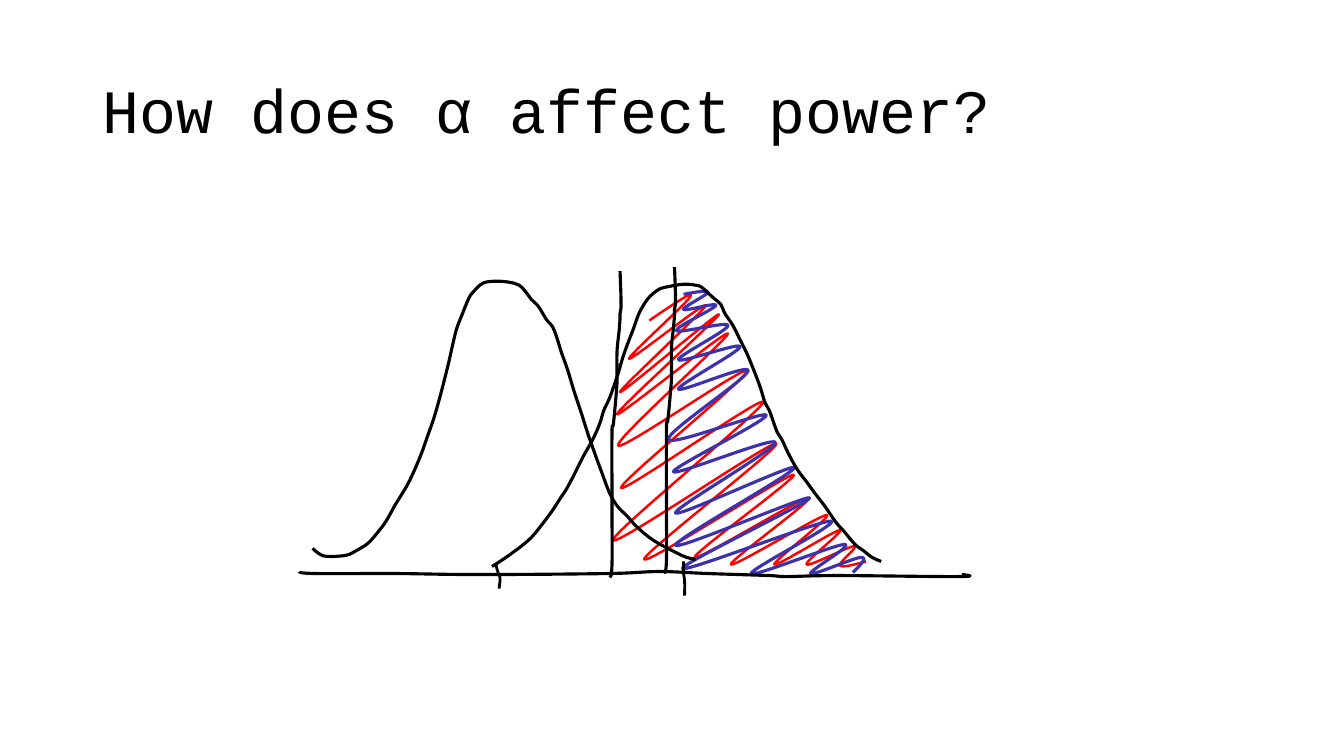
from lxml import etree
from pptx import Presentation
from pptx import util as u
from pptx.dml.color import RGBColor
from pptx.enum import text
from pptx.oxml import ns

COLORS = {"ink": "000000", "red": "FF0000", "blue": "3B32AC"}

LOW_ALPHA = [
    (444, 118), (485, 94), (424, 156), (500, 103), (415, 189), (513, 112),
    (412, 211), (522, 131), (413, 242), (541, 168), (416, 284), (557, 199),
    (408, 336), (570, 240), (439, 355), (587, 271), (489, 353), (602, 294),
    (525, 360), (620, 311), (568, 360), (633, 326), (600, 360), (647, 342),
    (633, 361), (659, 357)]
HIGH_ALPHA = [
    (478, 92), (502, 90), (478, 107), (510, 103), (471, 128), (522, 123),
    (473, 157), (534, 144), (473, 186), (542, 168), (463, 236), (560, 212),
    (468, 268), (569, 239), (470, 309), (588, 264), (470, 341), (603, 294),
    (477, 364), (624, 317), (545, 369), (638, 340), (604, 369), (654, 353),
    (646, 368)]
NULL_HILL = [
    (110, 344), (116, 349), (124, 352), (143, 351), (154, 346), (165, 339),
    (174, 329), (183, 317), (192, 301), (203, 283), (210, 269), (218, 250),
    (224, 233), (230, 216), (235, 199), (240, 180), (245, 160), (249, 142),
    (253, 126), (258, 113), (265, 96), (270, 89), (279, 81), (291, 79),
    (305, 80), (315, 83), (321, 89), (327, 97), (334, 104), (342, 117),
    (348, 124), (352, 134), (357, 150), (363, 167), (370, 190), (377, 211),
    (383, 230), (390, 250), (397, 269), (405, 290), (413, 303), (422, 312),
    (432, 323), (448, 336), (470, 348), (481, 353), (490, 355)]
TRUE_HILL = [
    (288, 362), (299, 355), (313, 345), (323, 337), (330, 330), (341, 316),
    (349, 305), (356, 294), (362, 285), (370, 270), (379, 252), (388, 236),
    (395, 220), (399, 207), (405, 194), (413, 171), (418, 154), (423, 140),
    (428, 127), (433, 113), (437, 105), (443, 96), (452, 88), (460, 85),
    (478, 82), (490, 83), (496, 85), (507, 95), (515, 102), (519, 111),
    (527, 123), (535, 139), (541, 151), (548, 168), (554, 184), (559, 200),
    (563, 207), (568, 221), (571, 229), (576, 237), (582, 250), (591, 266),
    (600, 278), (608, 289), (618, 302), (629, 318), (637, 327), (648, 340),
    (656, 346), (665, 353), (674, 357)]
AXIS = [
    (97, 367), (113, 369), (193, 369), (275, 370), (403, 369), (454, 367),
    (502, 369), (563, 371), (580, 372), (631, 371), (749, 372), (754, 370)]
CUTOFF = [
    (405, 373), (407, 360), (407, 306), (407, 297), (407, 229), (408, 223),
    (409, 215), (411, 193), (412, 178), (412, 149), (414, 129), (415, 116),
    (415, 111), (416, 102), (415, 69)]
NEXT_CUTOFF = [(x + 54, y - 4) for x, y in CUTOFF]
NULL_TICK = [(292, 361), (294, 368), (296, 373), (295, 384)]
TRUE_TICK = [(478, 357), (478, 369), (479, 376), (479, 391)]

STROKES = [
    (LOW_ALPHA, "red", 1.75), (HIGH_ALPHA, "blue", 2.25),
    (NULL_HILL, "ink", 2.25), (TRUE_HILL, "ink", 2.25),
    (AXIS, "ink", 2.25), (CUTOFF, "ink", 2.25),
    (NULL_TICK, "ink", 2), (TRUE_TICK, "ink", 2),
    (NEXT_CUTOFF, "ink", 2.25)]


def color(name):
    return RGBColor.from_string(COLORS[name])


def style(item, values):
    for name, value in values.items():
        setattr(item, name, value)


def handles(points, index):
    before = points[max(index - 1, 0)]
    after = points[min(index + 1, len(points) - 1)]
    here = points[index]
    slope = [(b - a) / 6 for a, b in zip(before, after)]
    return ([p - s for p, s in zip(here, slope)],
            [p + s for p, s in zip(here, slope)])


def middle(one, two):
    return [(a + b) / 2 for a, b in zip(one, two)]


def smooth(shape):
    nodes = list(shape.element.iter(ns.qn("a:moveTo"), ns.qn("a:lnTo")))
    points = [(int(n[0].get("x")), int(n[0].get("y"))) for n in nodes]
    for i, node in enumerate(nodes[1:], 1):
        first, last = handles(points, i - 1)[1], handles(points, i)[0]
        if i == 1:
            first = middle(points[0], last)
        if i == len(points) - 1:
            last = middle(first, points[i])
        curve = etree.Element(ns.qn("a:cubicBezTo"))
        for x, y in (first, last, points[i]):
            etree.SubElement(curve, ns.qn("a:pt"),
                             x=str(round(x)), y=str(round(y)))
        node.getparent().replace(node, curve)


def stroke(slide, box, points, ink, width):
    left, top = box[:2]
    spots = [(u.Inches(left + x / 100), u.Inches(top + y / 100))
             for x, y in points]
    pen = slide.shapes.build_freeform(*spots[0])
    pen.add_line_segments(spots[1:], close=False)
    shape = pen.convert_to_shape()
    smooth(shape)
    shape.shadow.inherit = False
    shape.fill.background()
    shape.line.color.rgb = color(ink)
    shape.line.width = u.Pt(width)


def graph(slide, box):
    for points, ink, width in STROKES:
        stroke(slide, box, points, ink, width)


def heading(slide, box, words):
    title = slide.shapes.title
    style(title, dict(zip(("left", "top", "width", "height"),
                          map(u.Inches, box))))
    frame = title.text_frame
    frame.text = words
    style(frame, {"word_wrap": True, "auto_size": text.MSO_AUTO_SIZE.NONE,
                  "vertical_anchor": text.MSO_ANCHOR.MIDDLE})
    line = frame.paragraphs[0]
    style(line, {"alignment": text.PP_ALIGN.LEFT, "line_spacing": 0.9})
    font = line.runs[0].font
    style(font, {"name": "Courier New", "size": u.Pt(44)})
    font.color.rgb = color("ink")


def main():
    deck = Presentation()
    style(deck, {"slide_width": u.Inches(13.33),
                 "slide_height": u.Inches(7.5)})
    slide = deck.slides.add_slide(deck.slide_layouts[5])
    heading(slide, (0.92, 0.4, 11.5, 1.45), "How does α affect power?")
    graph(slide, (2, 2, 8, 4))
    deck.save("out.pptx")


if __name__ == "__main__":
    main()
